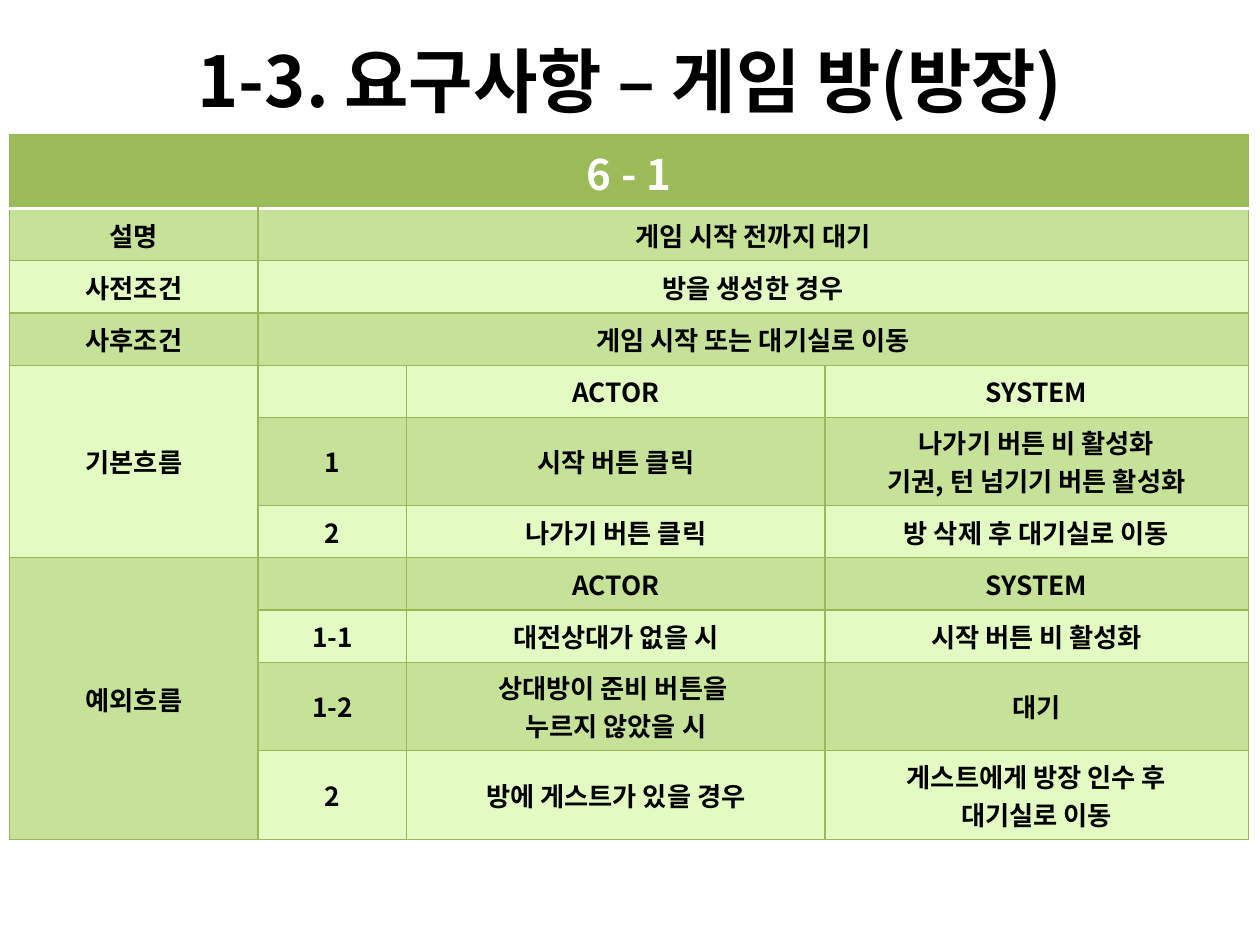
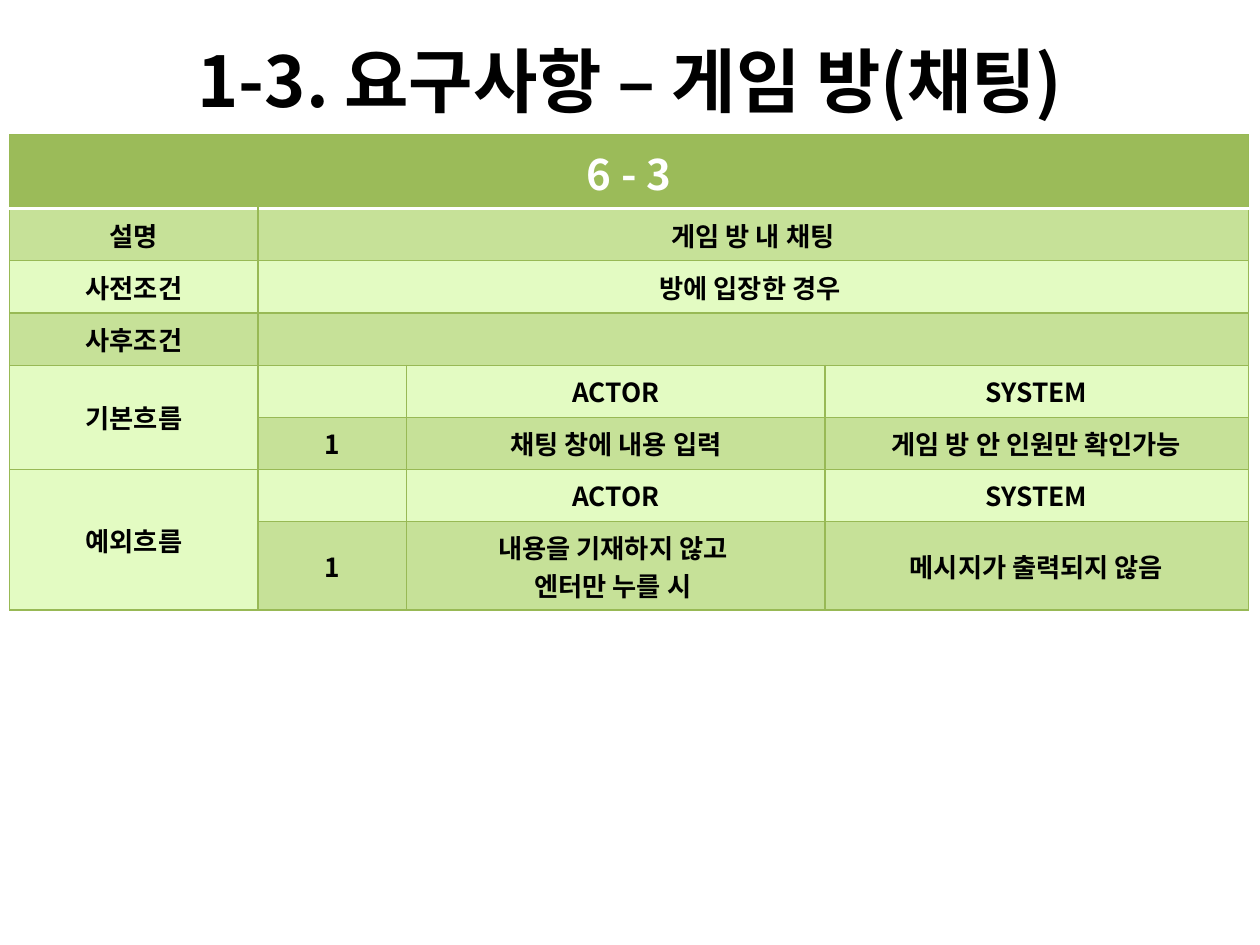
import pptx
import pptx.dml.color
import pptx.enum.text
import pptx.oxml
import pptx.oxml.ns
import pptx.util
from pptx.util import Cm

FONT = "Noto Sans CJK KR"
BLACK = pptx.dml.color.RGBColor(0x00, 0x00, 0x00)
WHITE = pptx.dml.color.RGBColor(0xFF, 0xFF, 0xFF)
HEADER_GREEN = pptx.dml.color.RGBColor(0x9B, 0xBB, 0x59)
BAND_GREEN = pptx.dml.color.RGBColor(0xC6, 0xE1, 0x98)
PALE_GREEN = pptx.dml.color.RGBColor(0xE3, 0xFB, 0xC2)
BORDER_GREEN = pptx.dml.color.RGBColor(0x98, 0xB9, 0x55)

TITLE_BOX = (Cm(1.27), Cm(0.41), Cm(22.86), Cm(2.39))
TABLE_LEFT, TABLE_TOP = Cm(0.2), Cm(2.72)
COLUMN_WIDTHS = (Cm(5), Cm(3), Cm(8.43), Cm(8.53))
HEADER_HEIGHT, ROW_HEIGHT, TWO_LINE_HEIGHT = Cm(1.49), Cm(1.05), Cm(1.78)
FLOW_HEADING = ("", "ACTOR", "SYSTEM")

USE_CASES = [
    {
        "title": "1-3. 요구사항 – 게임 방(방장)",
        "number": "6 - 1",
        "conditions": [
            ("설명", "게임 시작 전까지 대기"),
            ("사전조건", "방을 생성한 경우"),
            ("사후조건", "게임 시작 또는 대기실로 이동"),
        ],
        "flows": [
            ("기본흐름", [
                ("1", "시작 버튼 클릭", "나가기 버튼 비 활성화\n기권, 턴 넘기기 버튼 활성화"),
                ("2", "나가기 버튼 클릭", "방 삭제 후 대기실로 이동"),
            ]),
            ("예외흐름", [
                ("1-1", "대전상대가 없을 시", "시작 버튼 비 활성화"),
                ("1-2", "상대방이 준비 버튼을 \n누르지 않았을 시", "대기"),
                ("2", "방에 게스트가 있을 경우", "게스트에게 방장 인수 후\n대기실로 이동"),
            ]),
        ],
    },
    {
        "title": "1-3. 요구사항 – 게임 방(채팅)",
        "number": "6 - 3",
        "conditions": [
            ("설명", "게임 방 내 채팅"),
            ("사전조건", "방에 입장한 경우 "),
            ("사후조건", ""),
        ],
        "flows": [
            ("기본흐름", [("1", "채팅 창에 내용 입력", "게임 방 안 인원만 확인가능")]),
            ("예외흐름", [("1", "내용을 기재하지 않고 \n엔터만 누를 시 ", "메시지가 출력되지 않음")]),
        ],
    },
]


def write_centred(text_frame, text, size, color):
    text_frame.text = text
    for paragraph in text_frame.paragraphs:
        paragraph.alignment = pptx.enum.text.PP_ALIGN.CENTER
        font = paragraph.font
        font.size = pptx.util.Pt(size)
        font.bold = True
        font.color.rgb = color
        font.name = FONT
        east_asian = pptx.oxml.parse_xml(
            f'<a:ea {pptx.oxml.ns.nsdecls("a")} typeface="{FONT}"/>')
        paragraph._p.pPr.find(pptx.oxml.ns.qn("a:defRPr")).append(east_asian)


def add_border(cell, side, color, points):
    """Add one cell border; call for L, R, T, B in order, before the fill."""
    cell._tc.get_or_add_tcPr().append(pptx.oxml.parse_xml(
        f'<a:ln{side} {pptx.oxml.ns.nsdecls("a")} w="{pptx.util.Pt(points)}">'
        f'<a:solidFill><a:srgbClr val="{color}"/></a:solidFill></a:ln{side}>'))


def style_cell(cell, row_index):
    cell.vertical_anchor = pptx.enum.text.MSO_ANCHOR.MIDDLE
    for side in "LRTB":
        under_header = (row_index, side) in ((0, "B"), (1, "T"))
        if under_header:
            add_border(cell, side, WHITE, 2)
        else:
            add_border(cell, side, BORDER_GREEN, 0.75)
    cell.fill.solid()
    if row_index == 0:
        cell.fill.fore_color.rgb = HEADER_GREEN
    else:
        cell.fill.fore_color.rgb = BAND_GREEN if row_index % 2 else PALE_GREEN


def use_case_rows(use_case):
    """Return the cell texts by row, and the merges as (row, column, last row, last column)."""
    rows = [(use_case["number"], "", "", "")]
    merges = [(0, 0, 0, 3)]
    for label, condition in use_case["conditions"]:
        merges.append((len(rows), 1, len(rows), 3))
        rows.append((label, condition, "", ""))
    for label, steps in use_case["flows"]:
        merges.append((len(rows), 0, len(rows) + len(steps), 0))
        rows.append((label, *FLOW_HEADING))
        rows.extend(("", *step) for step in steps)
    return rows, merges


def row_height(row_index, texts):
    if row_index == 0:
        return HEADER_HEIGHT
    return TWO_LINE_HEIGHT if any("\n" in text for text in texts) else ROW_HEIGHT


def add_use_case_table(slide, use_case, left, top):
    rows, merges = use_case_rows(use_case)
    heights = [row_height(index, texts) for index, texts in enumerate(rows)]
    table = slide.shapes.add_table(
        len(rows), len(COLUMN_WIDTHS), left, top, sum(COLUMN_WIDTHS), sum(heights)).table
    for column, width in zip(table.columns, COLUMN_WIDTHS):
        column.width = width
    for row_index, texts in enumerate(rows):
        table.rows[row_index].height = heights[row_index]
        size, color = (24, WHITE) if row_index == 0 else (15, BLACK)
        for column_index, text in enumerate(texts):
            cell = table.cell(row_index, column_index)
            style_cell(cell, row_index)
            if text:
                write_centred(cell.text_frame, text, size, color)
    for row, column, last_row, last_column in merges:
        table.cell(row, column).merge(table.cell(last_row, last_column))


def place_title(slide, text, box):
    title = slide.shapes.title
    title.left, title.top, title.width, title.height = box
    title.text_frame.vertical_anchor = pptx.enum.text.MSO_ANCHOR.MIDDLE
    write_centred(title.text_frame, text, 40, BLACK)


def add_use_case_slide(deck, use_case):
    title_only = deck.slide_layouts[5]
    slide = deck.slides.add_slide(title_only)
    place_title(slide, use_case["title"], TITLE_BOX)
    add_use_case_table(slide, use_case, TABLE_LEFT, TABLE_TOP)


def main():
    deck = pptx.Presentation()
    deck.slide_width, deck.slide_height = Cm(25.4), Cm(19.05)
    for use_case in USE_CASES:
        add_use_case_slide(deck, use_case)
    deck.save("out.pptx")


if __name__ == "__main__":
    main()
